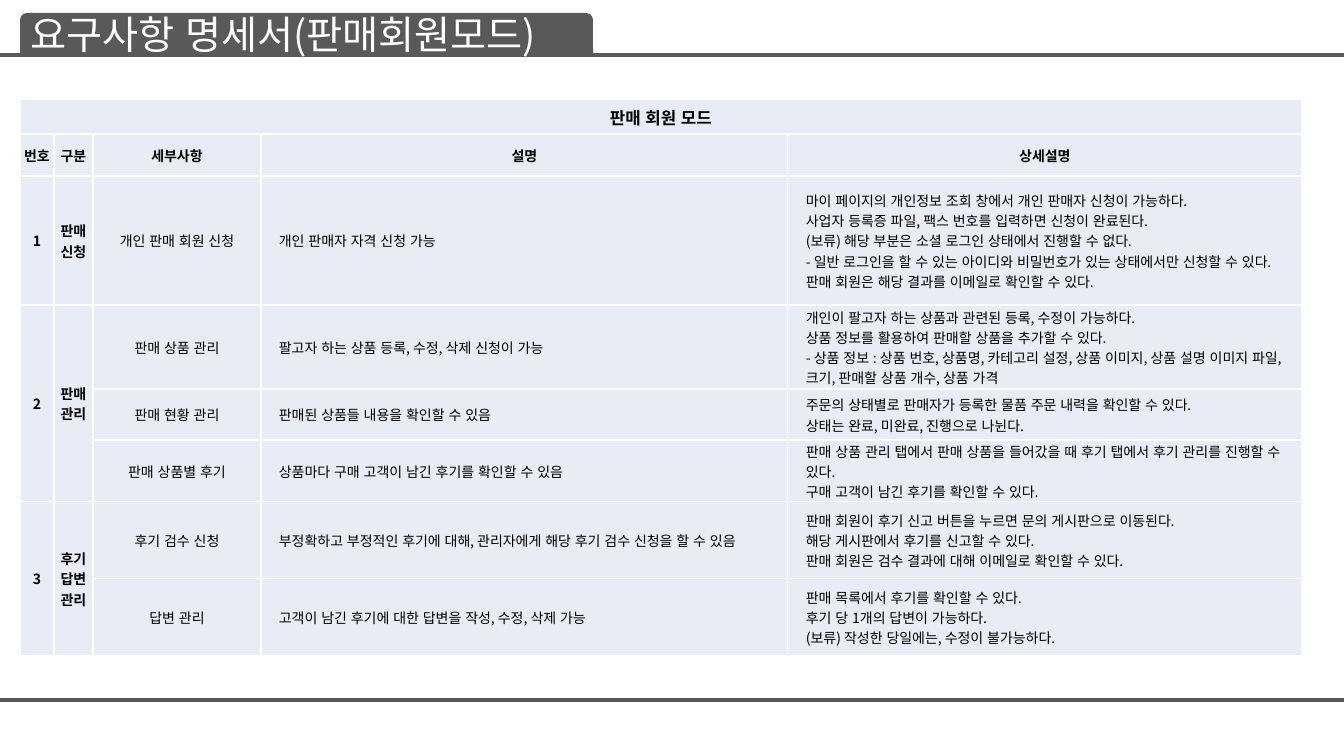
from lxml.etree import SubElement
from pptx import Presentation
from pptx.dml.color import RGBColor
from pptx.enum.lang import MSO_LANGUAGE_ID
from pptx.enum.shapes import MSO_CONNECTOR, MSO_SHAPE
from pptx.enum.text import MSO_ANCHOR, MSO_AUTO_SIZE, PP_ALIGN
from pptx.oxml import parse_xml
from pptx.oxml.ns import nsdecls, qn
from pptx.util import Emu, Pt

HEADINGS = ["번호", "구분", "세부사항", "설명", "상세설명"]
REQUIREMENTS = [
    ("판매 신청", [
        ("개인 판매 회원 신청", "개인 판매자 자격 신청 가능", [
            "마이 페이지의 개인정보 조회 창에서 개인 판매자 신청이 가능하다.",
            "사업자 등록증 파일, 팩스 번호를 입력하면 신청이 완료된다.",
            "(보류) 해당 부분은 소셜 로그인 상태에서 진행할 수 없다.",
            "- 일반 로그인을 할 수 있는 아이디와 비밀번호가 있는 상태에서만 신청할 수 있다.",
            "판매 회원은 해당 결과를 이메일로 확인할 수 있다."]),
    ]),
    ("판매 관리", [
        ("판매 상품 관리", "팔고자 하는 상품 등록, 수정, 삭제 신청이 가능", [
            "개인이 팔고자 하는 상품과 관련된 등록, 수정이 가능하다.",
            "상품 정보를 활용하여 판매할 상품을 추가할 수 있다.",
            "- 상품 정보 : 상품 번호, 상품명, 카테고리 설정, 상품 이미지, "
            "상품 설명 이미지 파일, 크기, 판매할 상품 개수, 상품 가격"]),
        ("판매 현황 관리", "판매된 상품들 내용을 확인할 수 있음", [
            "주문의 상태별로 판매자가 등록한 물품 주문 내력을 확인할 수 있다.",
            "상태는 완료, 미완료, 진행으로 나뉜다."]),
        ("판매 상품별 후기", "상품마다 구매 고객이 남긴 후기를 확인할 수 있음", [
            "판매 상품 관리 탭에서 판매 상품을 들어갔을 때 후기 탭에서 후기 관리를 진행할 수 있다.",
            "구매 고객이 남긴 후기를 확인할 수 있다."]),
    ]),
    ("후기 답변 관리", [
        ("후기 검수 신청",
         "부정확하고 부정적인 후기에 대해, 관리자에게 해당 후기 검수 신청을 할 수 있음", [
             "판매 회원이 후기 신고 버튼을 누르면 문의 게시판으로 이동된다.",
             "해당 게시판에서 후기를 신고할 수 있다.",
             "판매 회원은 검수 결과에 대해 이메일로 확인할 수 있다."]),
        ("답변 관리", "고객이 남긴 후기에 대한 답변을 작성, 수정, 삭제 가능", [
            "판매 목록에서 후기를 확인할 수 있다.",
            "후기 당 1개의 답변이 가능하다.",
            "(보류) 작성한 당일에는, 수정이 불가능하다."]),
    ]),
]
COLUMN_WIDTHS = [34, 39, 168, 527, 514]
ROW_HEIGHTS = [35, 42, 129, 84, 51, 51, 77, 77]


def px(length):
    return Emu(round(length * 914400 / 100.8))


def color(value):
    return RGBColor.from_string(value)


class SlideBuilder:
    FONT = "Noto Sans CJK KR"
    GREY, WHITE, BLACK, PALE = "595959", "FFFFFF", "000000", "E9EBF5"

    def __init__(self, deck):
        self.page = deck.slides.add_slide(deck.slide_layouts[5])

    def add_lines(self, para, lines, size, ink, bold=False, align=PP_ALIGN.LEFT):
        para.alignment = align
        for index, line in enumerate(lines):
            if index:
                para.add_line_break()
            span = para.add_run()
            span.text = line
            span.font.name = self.FONT
            span.font.size = Pt(size)
            span.font.bold = bold
            span.font.color.rgb = color(ink)
            span.font.language_id = MSO_LANGUAGE_ID.KOREAN
            SubElement(span.font._element, qn("a:ea")).set("typeface", self.FONT)

    def rule(self, y):
        line = self.page.shapes.add_connector(
            MSO_CONNECTOR.STRAIGHT, 0, px(y), px(1344), px(y))
        line.line.color.rgb = color(self.GREY)
        line.line.width = Pt(2.25)
        SubElement(line._element.spPr, qn("a:effectLst"))

    def title(self, text, left, top, width, height):
        area = px(left), px(top), px(width), px(height)
        tab = self.page.shapes.add_shape(MSO_SHAPE.ROUND_2_SAME_RECTANGLE, *area)
        tab.shadow.inherit = False
        tab.fill.solid()
        tab.fill.fore_color.rgb = color(self.GREY)
        tab.line.fill.background()
        box = self.page.shapes.title
        box.left, box.top, box.width, box.height = area
        tab._element.addnext(box._element)
        frame = box.text_frame
        frame.word_wrap = True
        frame.auto_size = MSO_AUTO_SIZE.NONE
        frame.vertical_anchor = MSO_ANCHOR.MIDDLE
        self.add_lines(frame.paragraphs[0], [text], 28, self.WHITE)

    def table(self, left, top, widths, heights):
        frame = self.page.shapes.add_table(
            len(heights), len(widths), px(left), px(top),
            px(sum(widths)), px(sum(heights)))
        grid = frame.table
        grid.first_row = grid.horz_banding = False
        for column, width in zip(grid.columns, widths):
            column.width = px(width)
        for row, height in zip(grid.rows, heights):
            row.height = px(height)
        for cell in grid.iter_cells():
            self.style_cell(cell)
        return grid

    def style_cell(self, cell):
        cell.fill.solid()
        cell.fill.fore_color.rgb = color(self.PALE)
        cell.vertical_anchor = MSO_ANCHOR.MIDDLE
        cell.margin_left = cell.margin_right = cell.margin_top = px(1)
        cell.margin_bottom = 0
        properties = cell._tc.get_or_add_tcPr()
        for index, side in enumerate(["lnL", "lnR", "lnT", "lnB"]):
            properties.insert(index, parse_xml(
                f'<a:{side} {nsdecls("a")} w="12700"><a:solidFill>'
                f'<a:srgbClr val="{self.WHITE}"/></a:solidFill></a:{side}>'))

    def label(self, cell, text, size=10, bold=True):
        self.add_lines(cell.text_frame.paragraphs[0], [text], size, self.BLACK,
                       bold, PP_ALIGN.CENTER)

    def description(self, cell, lines):
        cell.margin_left = px(18)
        self.add_lines(cell.text_frame.paragraphs[0], lines, 10, self.BLACK)


def main():
    deck = Presentation()
    deck.slide_width, deck.slide_height = px(1344), px(756)
    builder = SlideBuilder(deck)
    for y in (55, 700):
        builder.rule(y)
    builder.title("요구사항 명세서(판매회원모드)", 20, 13, 573, 42)

    grid = builder.table(20, 99, COLUMN_WIDTHS, ROW_HEIGHTS)
    grid.cell(0, 0).merge(grid.cell(0, len(HEADINGS) - 1))
    builder.label(grid.cell(0, 0), "판매 회원 모드", size=12)
    for column, heading in enumerate(HEADINGS):
        builder.label(grid.cell(1, column), heading)

    row = 2
    for number, (category, items) in enumerate(REQUIREMENTS, 1):
        for column, text in enumerate([str(number), category]):
            if len(items) > 1:
                grid.cell(row, column).merge(
                    grid.cell(row + len(items) - 1, column))
            builder.label(grid.cell(row, column), text)
        for item, summary, details in items:
            builder.label(grid.cell(row, 2), item, bold=False)
            builder.description(grid.cell(row, 3), [summary])
            builder.description(grid.cell(row, 4), details)
            row += 1
    deck.save("out.pptx")


if __name__ == "__main__":
    main()
